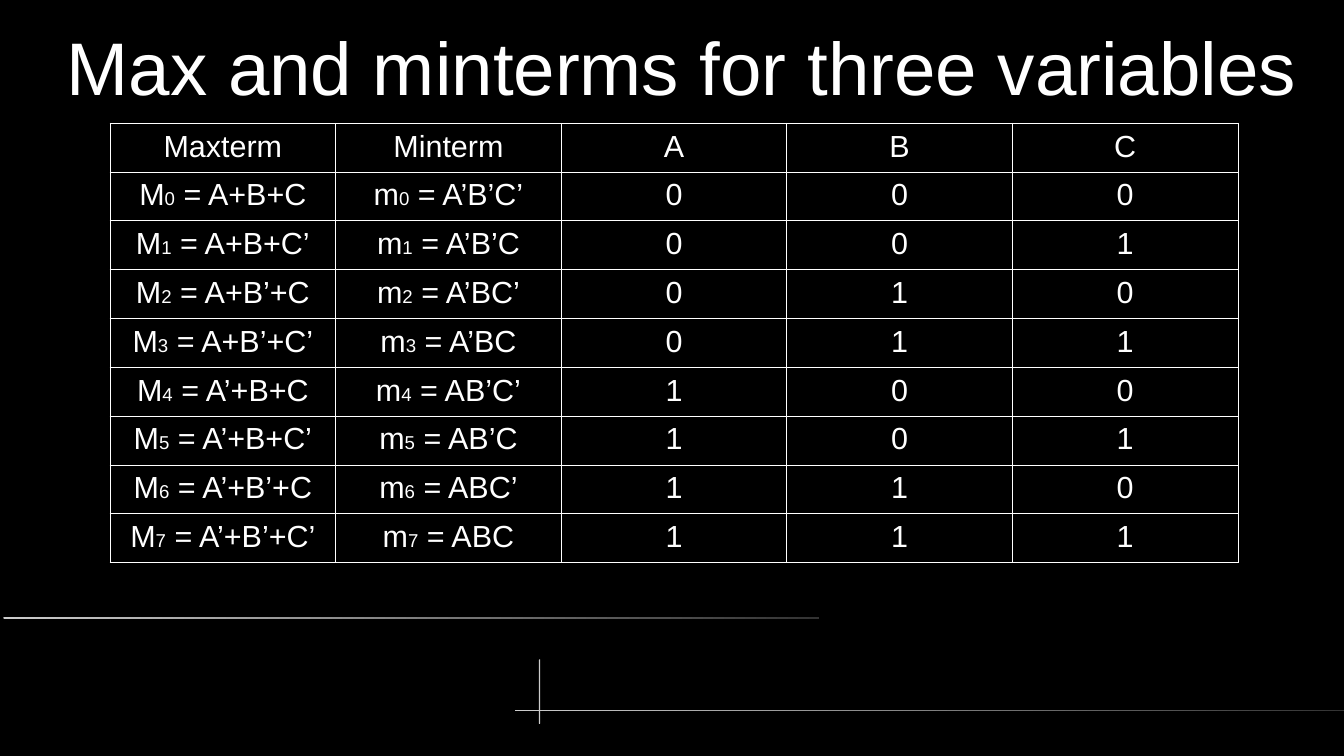
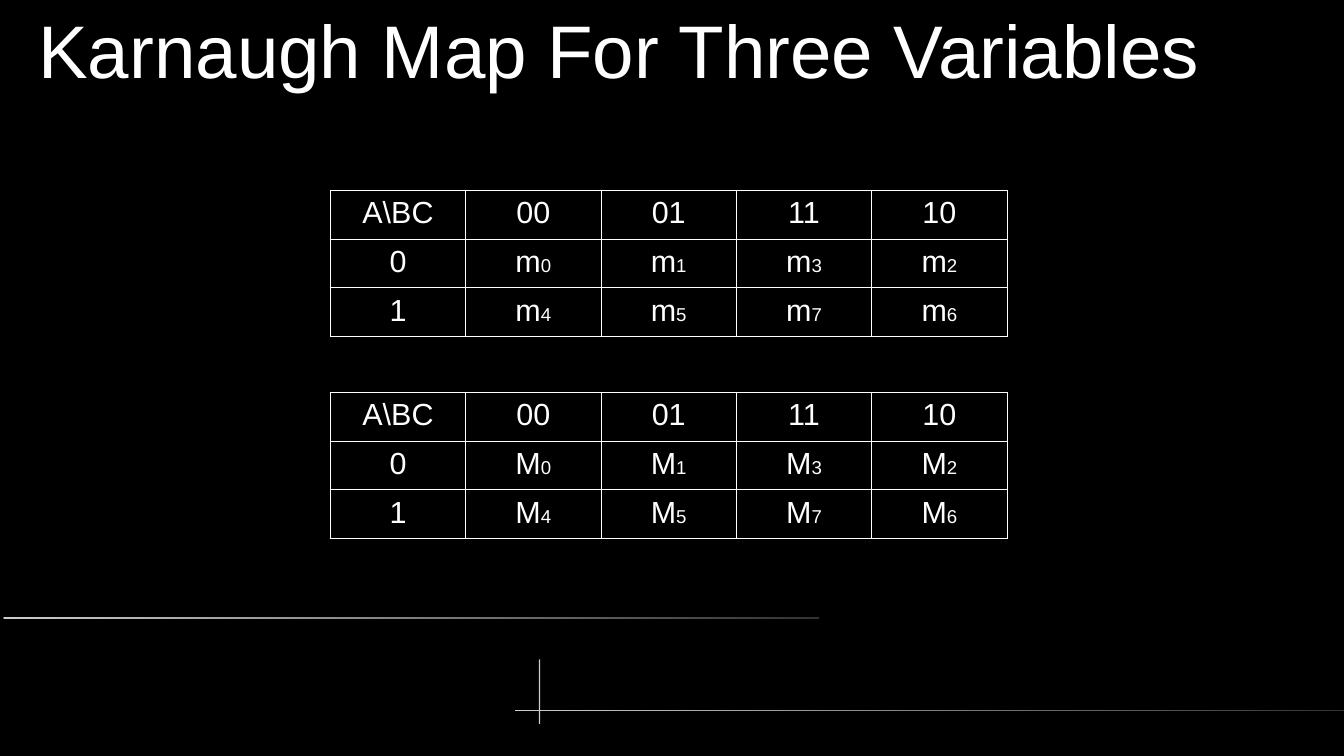
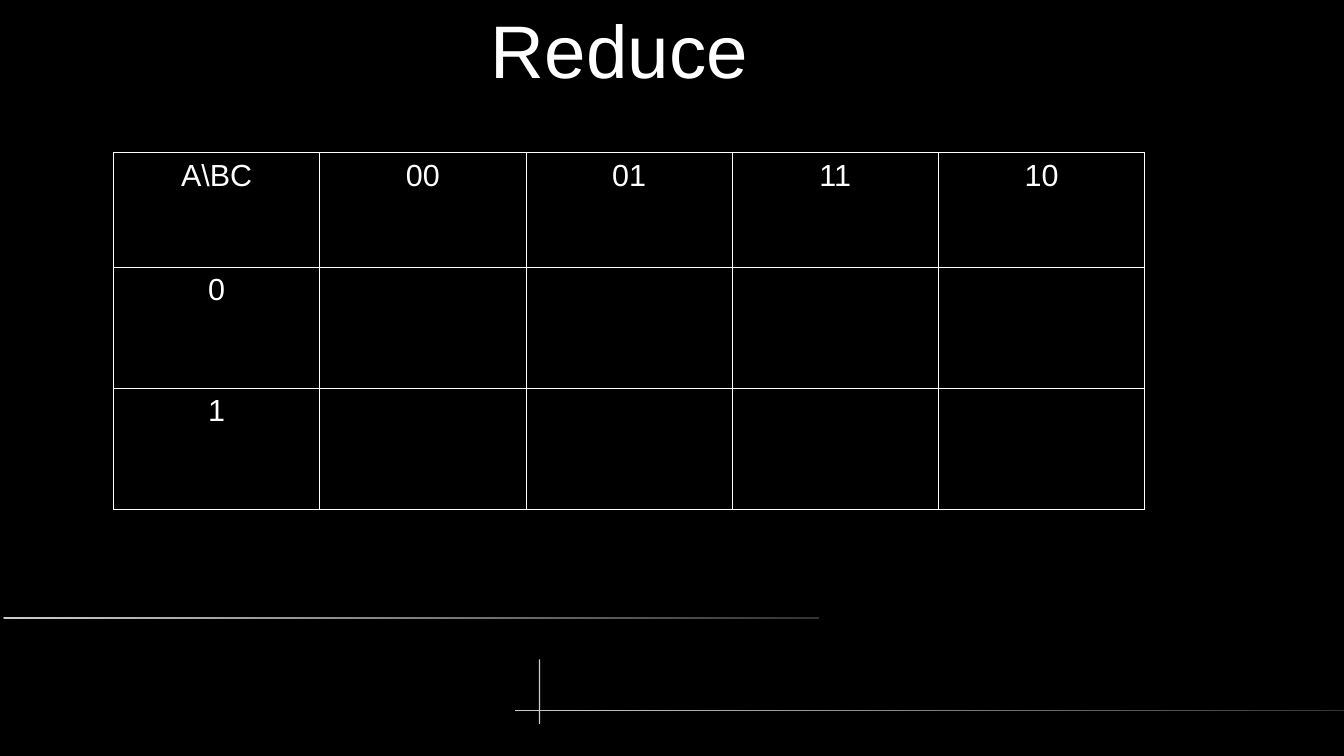
from collections import namedtuple
from dataclasses import dataclass
from itertools import product

from lxml.etree import SubElement
from pptx import Presentation
from pptx.dml.color import RGBColor as Color
from pptx.enum.shapes import MSO_SHAPE as Shape
from pptx.enum.text import MSO_ANCHOR as Anchor, PP_ALIGN as Align
from pptx.oxml.ns import qn
from pptx.util import Pt

Box = namedtuple("Box", "left top width height")


@dataclass(frozen=True)
class Theme:
    """Colours, type sizes and measures shared by all slides."""

    font: str = "Arial"
    ground: str = "000000"
    ink: str = "FFFFFF"
    pale: str = "CCCCCC"
    dim: str = "333333"
    title_size: float = 44
    cell_size: float = 18
    index_size: float = 11
    border: float = 0.57
    row: float = 28.8


THEME = Theme()
PAGE = Box(0, 0, 793.44, 446.4)
TITLE = Box(11.5, 2.9, 708.5, 51.8)
LETTERS = "ABC"
GRAY_CODE = ("00", "01", "11", "10")


def points(box):
    """Turn the numbers of a box into lengths."""
    return [Pt(value) for value in box]


def set_all(target, values):
    """Set attributes of an object from a dict."""
    for name, value in values.items():
        setattr(target, name, value)


def add_span(para, text, size):
    """Add one run of text in the theme font."""
    span = para.add_run()
    span.text = text
    set_all(span.font, {"name": THEME.font, "size": Pt(size)})
    span.font.color.rgb = Color.from_string(THEME.ink)


def add_rule(page, box, start, end):
    """Draw a thin rounded bar that fades from one colour to another."""
    rule = page.shapes.add_shape(Shape.ROUNDED_RECTANGLE, *points(box))
    rule.adjustments[0] = 0.5
    rule.shadow.inherit = False
    rule.line.fill.background()
    if start == end:
        rule.fill.solid()
        rule.fill.fore_color.rgb = Color.from_string(start)
        return
    rule.fill.gradient()
    rule.fill.gradient_angle = 0
    for stop, position, colour in zip(rule.fill.gradient_stops, (0, 1), (start, end)):
        stop.position = position
        stop.color.rgb = Color.from_string(colour)


def add_rules(page, frame):
    """Draw the crossing rules at the foot of the page."""
    rules = (
        (Box(2, 364.2, 481.7, 1.3), THEME.dim),
        (Box(303.8, 419, 491, 0.72), THEME.dim),
        (Box(318.2, 389.3, 0.72, 38.2), THEME.pale),
    )
    for box, end in rules:
        place = box._replace(left=frame.left + box.left, top=frame.top + box.top)
        add_rule(page, place, THEME.pale, end)


def add_title(page, box, text):
    """Write a centred title in its box."""
    frame = page.shapes.add_textbox(*points(box)).text_frame
    set_all(frame, {
        "word_wrap": True, "vertical_anchor": Anchor.MIDDLE,
        "margin_left": 0, "margin_right": 0, "margin_top": 0, "margin_bottom": 0,
    })
    para = frame.paragraphs[0]
    para.alignment = Align.CENTER
    add_span(para, text, THEME.title_size)


def add_borders(cell):
    """Draw a line on all four sides of a cell."""
    properties = cell._tc.get_or_add_tcPr()
    for side in ("a:lnL", "a:lnR", "a:lnT", "a:lnB"):
        line = SubElement(properties, qn(side), w=str(int(Pt(THEME.border))))
        fill = SubElement(line, qn("a:solidFill"))
        SubElement(fill, qn("a:srgbClr"), val=THEME.ink)


def fill_cell(cell, text):
    """Format a cell; text between underscores is a small index."""
    set_all(cell, {
        "margin_left": Pt(2.9), "margin_right": Pt(2.9),
        "margin_top": Pt(3.6), "margin_bottom": Pt(3.6),
    })
    add_borders(cell)
    cell.fill.background()
    para = cell.text_frame.paragraphs[0]
    para.alignment = Align.CENTER
    for place, part in enumerate(text.split("_")):
        if part:
            add_span(para, part, THEME.index_size if place % 2 else THEME.cell_size)


def add_grid(page, left, top, width, rows, heights=None):
    """Add a ruled table with equal columns."""
    heights = heights or [THEME.row] * len(rows)
    box = Box(left, top, width, sum(heights))
    table = page.shapes.add_table(len(rows), len(rows[0]), *points(box)).table
    set_all(table, {"first_row": False, "horz_banding": False})
    for column in table.columns:
        column.width = Pt(width / len(rows[0]))
    for line, height, texts in zip(table.rows, heights, rows):
        line.height = Pt(height)
        for cell, text in zip(line.cells, texts):
            fill_cell(cell, text)


def term_rows():
    """List the maxterm and minterm of every input combination."""
    rows = [("Maxterm", "Minterm", *LETTERS)]
    for index, bits in enumerate(product((0, 1), repeat=len(LETTERS))):
        sums = "+".join(name + "’" * bit for name, bit in zip(LETTERS, bits))
        factors = "".join(name + "’" * (1 - bit) for name, bit in zip(LETTERS, bits))
        rows.append((f"M_{index}_ = {sums}", f"m_{index}_ = {factors}", *map(str, bits)))
    return rows


def map_rows(letter=""):
    """List a Karnaugh map, empty when no letter is given."""
    rows = [("A\\BC", *GRAY_CODE)]
    for bit in "01":
        cells = [f"{letter}_{int(bit + code, 2)}_" if letter else "" for code in GRAY_CODE]
        rows.append((bit, *cells))
    return rows


def add_page(deck, title, box=TITLE):
    """Add a blank slide with the shared rules and a title."""
    page = deck.slides.add_slide(deck.slide_layouts[6])
    add_rules(page, PAGE)
    add_title(page, box, title)
    return page


def main():
    """Build the deck and save it."""
    deck = Presentation()
    set_all(deck, {"slide_width": Pt(PAGE.width), "slide_height": Pt(PAGE.height)})
    ground = deck.slide_master.background.fill
    ground.solid()
    ground.fore_color.rgb = Color.from_string(THEME.ground)

    page = add_page(deck, "Max and minterms for three variables", Box(11.5, 0, 782.6, 77.8))
    add_grid(page, 65, 72.8, 666, term_rows())

    page = add_page(deck, "Karnaugh Map For Three Variables")
    for letter, top in (("m", 112.3), ("M", 231.6)):
        add_grid(page, 195, top, 399.6, map_rows(letter))

    page = add_page(deck, "Reduce")
    add_grid(page, 67, 90, 608.8, map_rows(), (67.8, 71.4, 71.4))

    deck.save("out.pptx")


if __name__ == "__main__":
    main()
